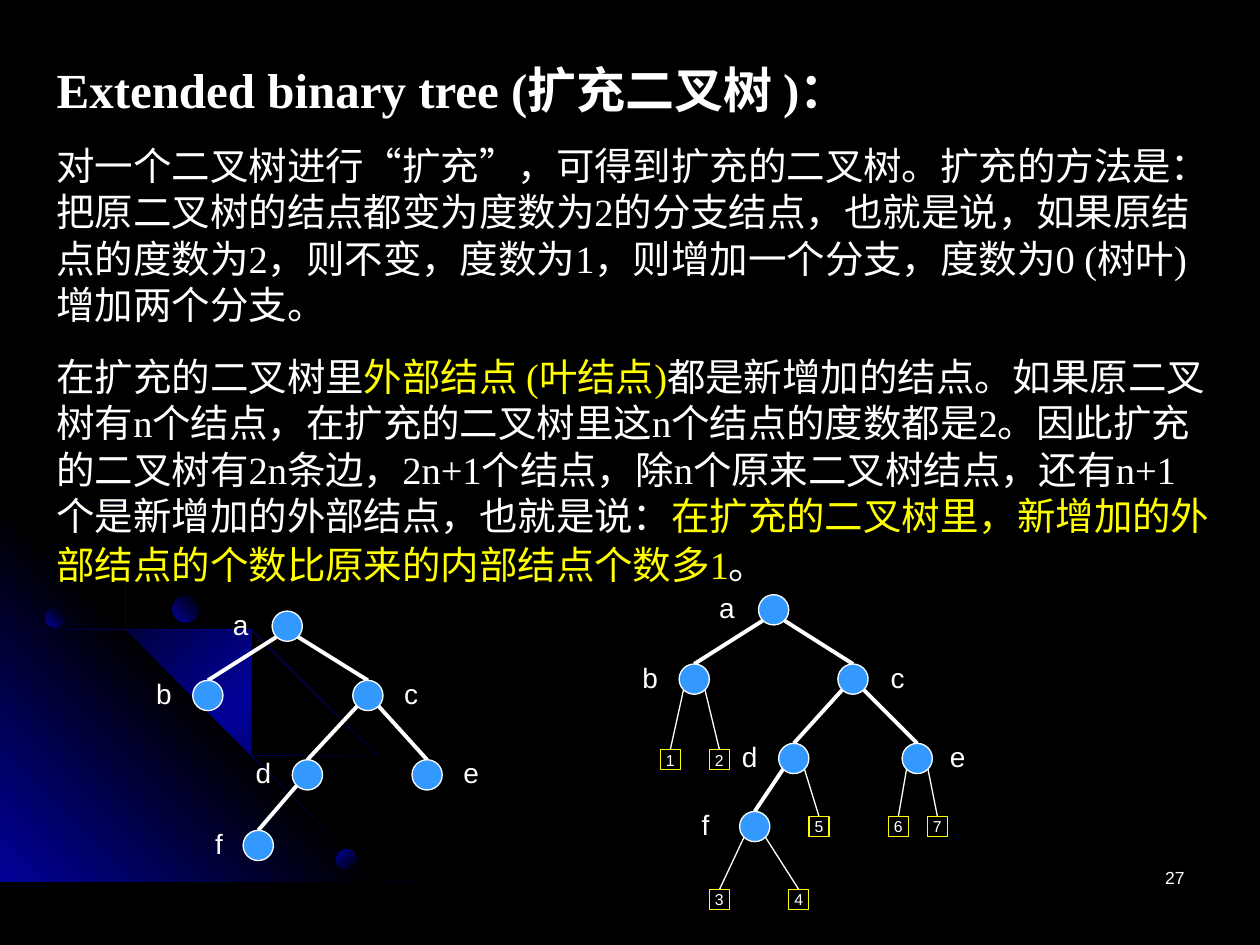
from copy import deepcopy

from lxml.etree import SubElement
from pptx import Presentation
from pptx.dml.color import RGBColor
from pptx.enum.shapes import MSO_CONNECTOR, MSO_SHAPE
from pptx.enum.text import MSO_ANCHOR, PP_ALIGN
from pptx.oxml.ns import qn
from pptx.util import Inches, Pt

WHITE, YELLOW, BLACK = "FFFFFF", "FFFF00", "000000"
NAVY, SKY = "010199", "3399FF"
rgb = RGBColor.from_string


def add_run(p, text, size, font, color=WHITE, bold=False):
    r = p.add_run()
    r.text = text
    r.font.size, r.font.name, r.font.bold = Pt(size), font, bold
    r.font.color.rgb = rgb(color)


def gradient(sp, colors, angle):
    """Fill with evenly spaced colours; the angle runs counter-clockwise."""
    sp.shadow.inherit = False
    sp.line.fill.background()
    sp.fill.gradient()
    sp.fill.gradient_angle = angle
    stops = sp._element.spPr.find(".//" + qn("a:gsLst"))
    for _ in colors[2:]:
        stops.insert(1, deepcopy(stops[0]))
    for i, (stop, color) in enumerate(zip(sp.fill.gradient_stops, colors)):
        stop.position = i / (len(colors) - 1)
        stop.color.rgb = rgb(color)


prs = Presentation()
prs.slide_width, prs.slide_height = Inches(10), Inches(7.5)
s = prs.slides.add_slide(prs.slide_layouts[5])
s.background.fill.solid()
s.background.fill.fore_color.rgb = rgb(BLACK)

# Backdrop: a glowing corner, three orbits and three planets
corner = [(0, 4.27), (3.22, 7.49), (0, 7.49)]
outer_orbit = [
    (0.57, 4.47), (0.28, 4.41), (0, 4.35), (0, 4.38), (0.28, 4.43), (0.56, 4.49),
    (0.97, 4.61), (1.35, 4.78), (1.73, 4.99), (2.08, 5.23), (2.41, 5.49), (2.71, 5.79),
    (2.98, 6.12), (3.23, 6.49), (3.37, 6.73), (3.5, 6.98), (3.6, 7.23), (3.7, 7.49),
    (3.72, 7.49), (3.62, 7.23), (3.52, 6.98), (3.39, 6.73), (3.25, 6.48), (3, 6.11),
    (2.72, 5.78), (2.42, 5.48), (2.09, 5.21), (1.74, 4.97), (1.36, 4.77), (0.98, 4.59)]
inner_orbit = [
    (2.85, 7.14), (2.94, 7.32), (3.01, 7.49), (3.03, 7.49), (2.96, 7.3), (2.86, 7.12),
    (2.66, 6.76), (2.42, 6.4), (2.15, 6.06), (1.84, 5.76), (1.52, 5.49), (1.17, 5.26),
    (0.79, 5.05), (0.41, 4.88), (0, 4.75), (0, 4.77), (0.39, 4.9), (0.77, 5.07),
    (1.15, 5.28), (1.5, 5.51), (1.83, 5.78), (2.13, 6.08), (2.4, 6.42), (2.65, 6.77)]
middle_orbit = [
    (0, 4.42), (0, 4.44), (0.36, 4.57), (0.74, 4.75), (1.09, 4.94), (1.42, 5.18),
    (1.73, 5.44), (2.02, 5.75), (2.27, 6.05), (2.52, 6.41), (2.67, 6.67), (2.8, 6.94),
    (2.92, 7.22), (3.01, 7.49), (3.03, 7.49), (2.94, 7.2), (2.82, 6.93), (2.69, 6.65),
    (2.54, 6.39), (2.29, 6.03), (2.04, 5.73), (1.75, 5.43), (1.44, 5.16), (1.11, 4.93),
    (0.76, 4.73), (0.39, 4.55)]
orbit_colors = [BLACK, NAVY, BLACK]
for points, colors, angle in [
        (outer_orbit, orbit_colors, 315), (corner, [NAVY, BLACK, NAVY], 45),
        (inner_orbit, orbit_colors, 315), (middle_orbit, orbit_colors, 315)]:
    outline = s.shapes.build_freeform(*points[0], scale=Inches(1))
    outline.add_line_segments(points[1:], close=True)
    gradient(outline.convert_to_shape(), colors, angle)
for x, y, size, angle in [(0.36, 4.83, 0.15, 45), (2.67, 6.74, 0.16, 315), (1.37, 4.73, 0.21, 45)]:
    planet = s.shapes.add_shape(MSO_SHAPE.OVAL, Inches(x), Inches(y), Inches(size), Inches(size))
    gradient(planet, [NAVY, BLACK], angle)

# Title and text
title = s.shapes.title
title.left, title.top, title.width, title.height = Inches(0.35), Inches(0.42), Inches(9.37), Inches(0.57)
title.text_frame.vertical_anchor = MSO_ANCHOR.TOP
p = title.text_frame.paragraphs[0]
p.alignment = PP_ALIGN.LEFT
add_run(p, "Extended binary tree (扩充二叉树 )：", 28, "Times New Roman", bold=True)

paragraphs = [
    [("对一个二叉树进行“扩充”，可得到扩充的二叉树。扩充的方法是：把原二叉树的结点都变为度数为2的分支结点，"
      "也就是说，如果原结点的度数为2，则不变，度数为1，则增加一个分支，度数为0 (树叶)增加两个分支。", WHITE, 22)],
    [("在扩充的二叉树里", WHITE, 22),
     ("外部结点 (叶结点)", YELLOW, 22),
     ("都是新增加的结点。如果原二叉树有n个结点，在扩充的二叉树里这n个结点的度数都是2。因此扩充的二叉树有2n条边，"
      "2n+1个结点，除n个原来二叉树结点，还有n+1个是新增加的外部结点，也就是说：", WHITE, 22),
     ("在扩充的二叉树里，新增加的外部结点的个数比原来的内部结点个数多1", YELLOW, 22),
     ("。", WHITE, 22), (" ", WHITE, 24)]]
tf = s.shapes.add_textbox(Inches(0.35), Inches(1.08), Inches(9.37), Inches(3.64)).text_frame
tf.word_wrap = True
for i, runs in enumerate(paragraphs):
    p = tf.add_paragraph() if i else tf.paragraphs[0]
    if i:
        p.space_before = Pt(15)
    for text, color, size in runs:
        add_run(p, text, size, "Times New Roman", color)

# Trees: name, centre x, centre y, parent, label offset (digits are external nodes)
binary_tree = [
    ("a", 2.28, 4.97, None, -0.53), ("b", 1.65, 5.52, "a", -0.51), ("c", 2.92, 5.52, "a", 0.19),
    ("d", 2.44, 6.15, "c", -0.51), ("e", 3.39, 6.15, "c", 0.19), ("f", 2.05, 6.71, "d", -0.44)]
extended_tree = [
    ("a", 6.14, 4.84, None, -0.53), ("b", 5.51, 5.39, "a", -0.51), ("c", 6.77, 5.39, "a", 0.2),
    ("d", 6.3, 6.02, "c", -0.51), ("e", 7.28, 6.02, "c", 0.16), ("f", 5.99, 6.56, "d", -0.52),
    ("1", 5.32, 6.03, "b", 0), ("2", 5.71, 6.03, "b", 0), ("3", 5.71, 7.14, "f", 0),
    ("4", 6.34, 7.14, "f", 0), ("5", 6.5, 6.56, "d", 0), ("6", 7.13, 6.56, "e", 0),
    ("7", 7.44, 6.56, "e", 0)]
for tree in (binary_tree, extended_tree):
    shapes = s.shapes.add_group_shape().shapes
    centre = {name: (x, y) for name, x, y, *_ in tree}
    for name, x, y, parent, label_dx in tree:
        external = name.isdigit()
        radius = 0.08 if external else 0.12
        if parent:
            px, py = centre[parent]
            side = 0.085 if x > px else -0.085
            edge = shapes.add_connector(MSO_CONNECTOR.STRAIGHT, Inches(px + side), Inches(py + 0.085),
                                        Inches(x), Inches(y - radius))
            edge.line.color.rgb = rgb(WHITE)
            edge.line.width = Pt(0.75 if external else 2.25)
            SubElement(edge._element.spPr, qn("a:effectLst"))
        node = shapes.add_shape(MSO_SHAPE.RECTANGLE if external else MSO_SHAPE.OVAL,
                                Inches(x - radius), Inches(y - radius), Inches(2 * radius), Inches(2 * radius))
        node.shadow.inherit = False
        node.line.color.rgb = rgb(YELLOW if external else WHITE)
        node.line.width = Pt(0.75)
        if external:
            node.fill.background()
            tf = node.text_frame
            tf.vertical_anchor = MSO_ANCHOR.MIDDLE
            tf.paragraphs[0].alignment = PP_ALIGN.CENTER
        else:
            node.fill.solid()
            node.fill.fore_color.rgb = rgb(SKY)
            tf = shapes.add_textbox(Inches(x + label_dx), Inches(y - 0.2), Inches(0.32), Inches(0.37)).text_frame
        tf.word_wrap = False
        add_run(tf.paragraphs[0], name, 9 if external else 16, "Arial")

# Page number
tf = s.shapes.add_textbox(Inches(7.17), Inches(6.83), Inches(2.33), Inches(0.5)).text_frame
tf.word_wrap = True
tf.paragraphs[0].alignment = PP_ALIGN.RIGHT
add_run(tf.paragraphs[0], "27", 10, "Arial")

prs.save("out.pptx")
